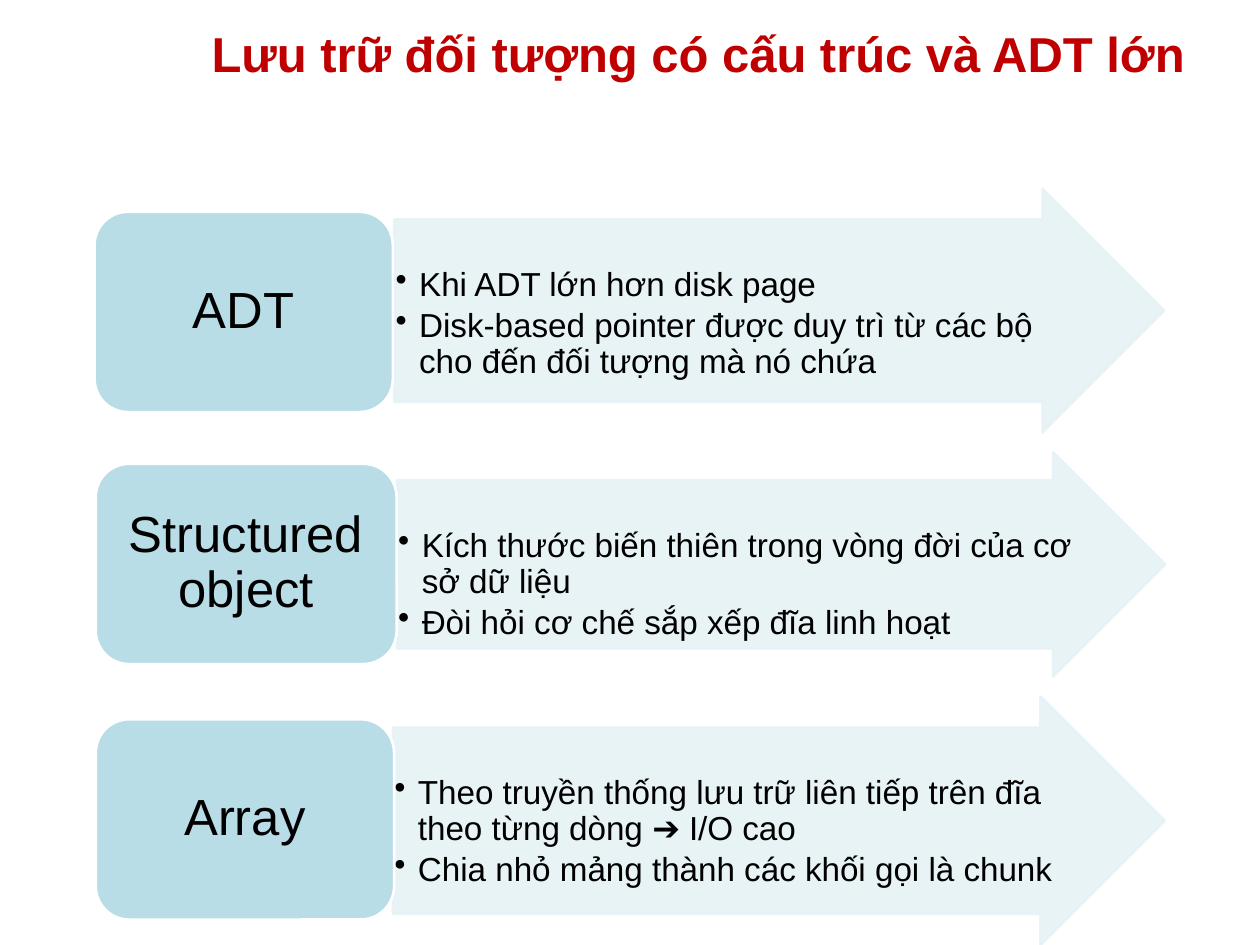
from lxml.etree import SubElement
from pptx import Presentation
from pptx.dml.color import RGBColor
from pptx.enum.shapes import MSO_SHAPE as Shape
from pptx.enum.text import MSO_ANCHOR as Anchor, PP_ALIGN as Align
from pptx.oxml.ns import qn
from pptx.util import Pt

COLORS = {"title": "C00000", "label": "B8DDE7", "arrow": "E6F2F6",
          "text": "000000", "edge": "FFFFFF"}
ALPHA = "90000"
TEXT_DROP = 27  # from the top of the arrow's body to the first bullet

# label, its left, top and width; arrow's left, top, width and height; bullets
ROWS = [
    ("ADT", (54, 121, 170.5), (225.3, 108, 440, 139),
     ["Khi ADT lớn hơn disk page",
      "Disk-based pointer được duy trì từ các bộ cho đến đối tượng mà nó chứa"]),
    ("Structured object", (54.7, 265, 172), (226.8, 258.5, 439, 128),
     ["Kích thước biến thiên trong vòng đời của cơ sở dữ liệu",
      "Đòi hỏi cơ chế sắp xếp đĩa linh hoạt"]),
    ("Array", (54.7, 411, 170.5), (224.6, 398, 441, 142),
     ["Theo truyền thống lưu trữ liên tiếp trên đĩa theo từng dòng ➔ I/O cao",
      "Chia nhỏ mảng thành các khối gọi là chunk"]),
]


def add_span(para, text, size, color, bold=False):
    span = para.add_run()
    span.text = text
    span.font.name = "Arial"
    span.font.size = Pt(size)
    span.font.bold = bold
    span.font.color.rgb = RGBColor.from_string(COLORS[color])


def add_block(page, kind, place, fill, edge):
    block = page.shapes.add_shape(kind, *[Pt(value) for value in place])
    block.shadow.inherit = False
    block.fill.solid()
    block.fill.fore_color.rgb = RGBColor.from_string(COLORS[fill])
    block.line.color.rgb = RGBColor.from_string(COLORS[edge])
    block.line.width = Pt(1.5)
    return block


deck = Presentation()
deck.slide_width, deck.slide_height = Pt(720), Pt(540)
page = deck.slides.add_slide(deck.slide_layouts[5])

# Title
title = page.shapes.title
title.left, title.top, title.width, title.height = Pt(48), Pt(-24), Pt(702), Pt(108)
title.text_frame.vertical_anchor = Anchor.MIDDLE
para = title.text_frame.paragraphs[0]
para.alignment = Align.CENTER
add_span(para, "Lưu trữ đối tượng có cấu trúc và ADT lớn", 28, "title", True)

for label, (label_left, label_top, label_width), arrow_place, bullets in ROWS:
    # Arrow, slightly transparent
    left, top, width, height = arrow_place
    arrow = add_block(page, Shape.RIGHT_ARROW, arrow_place, "arrow", "arrow")
    arrow.adjustments[0] = 0.75
    arrow.adjustments[1] = 0.5
    for color in arrow._element.spPr.iter(qn("a:srgbClr")):
        SubElement(color, qn("a:alpha"), val=ALPHA)

    # Bullets over the arrow's body
    body_top = top + height / 8 + TEXT_DROP
    body_height = height * 0.75 - TEXT_DROP
    box = page.shapes.add_textbox(Pt(left), Pt(body_top),
                                  Pt(width - height * 0.375), Pt(body_height))
    frame = box.text_frame
    frame.word_wrap = True
    frame.margin_left = frame.margin_right = Pt(0.75)
    frame.margin_top = frame.margin_bottom = Pt(0.75)
    for index, bullet in enumerate(bullets):
        para = frame.add_paragraph() if index else frame.paragraphs[0]
        para.line_spacing = 0.9
        para.space_after = Pt(2.85)
        props = para._p.get_or_add_pPr()
        props.set("marL", str(Pt(13.5)))
        props.set("indent", str(Pt(-13.5)))
        SubElement(props, qn("a:buChar"), char="•")
        add_span(para, bullet, 19, "text")

    # Label
    tile = add_block(page, Shape.ROUNDED_RECTANGLE,
                     (label_left, label_top, label_width, 114.5), "label", "edge")
    frame = tile.text_frame
    frame.word_wrap = True
    frame.vertical_anchor = Anchor.MIDDLE
    para = frame.paragraphs[0]
    para.alignment = Align.CENTER
    para.line_spacing = 0.9
    add_span(para, label, 29, "text")

deck.save("out.pptx")
